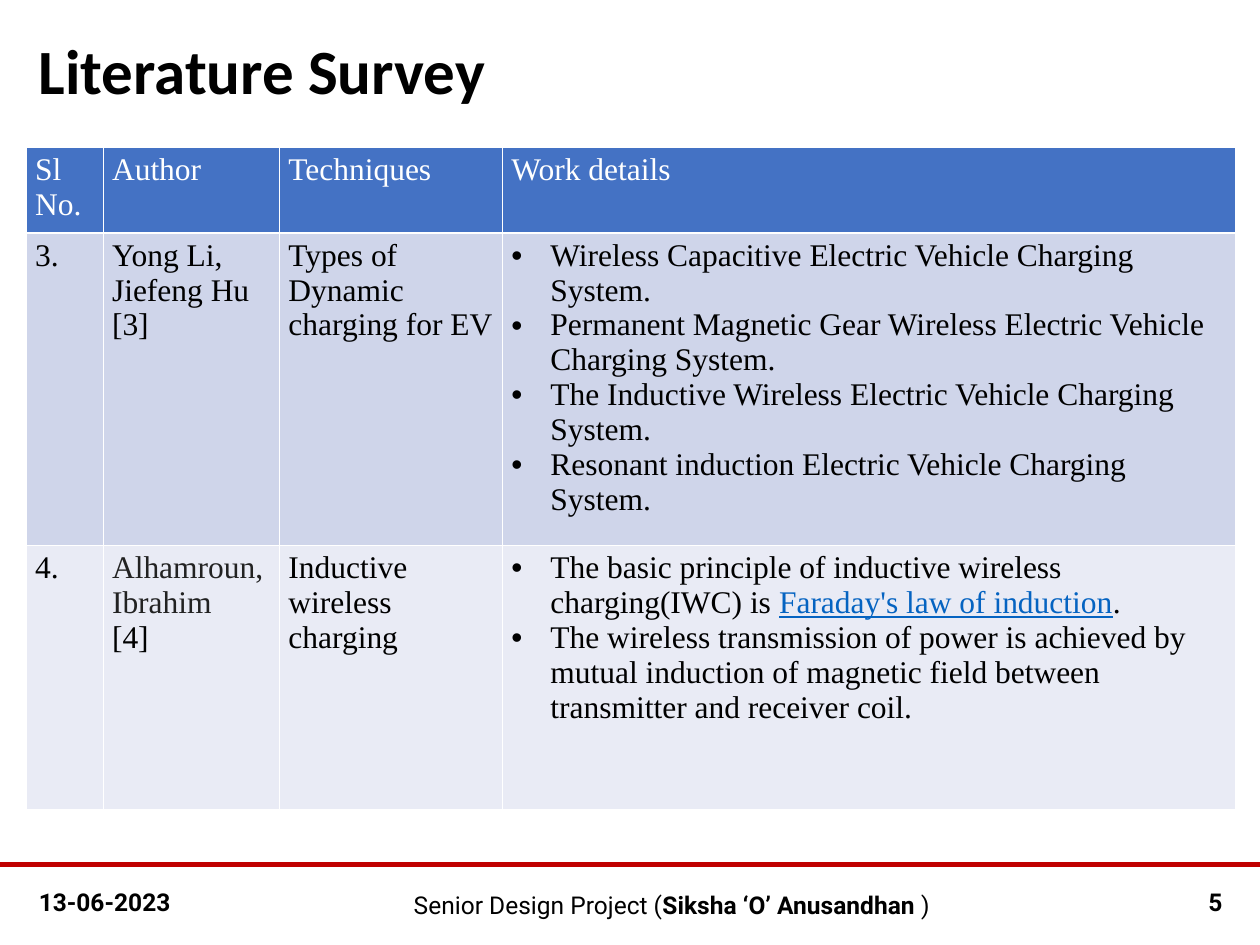
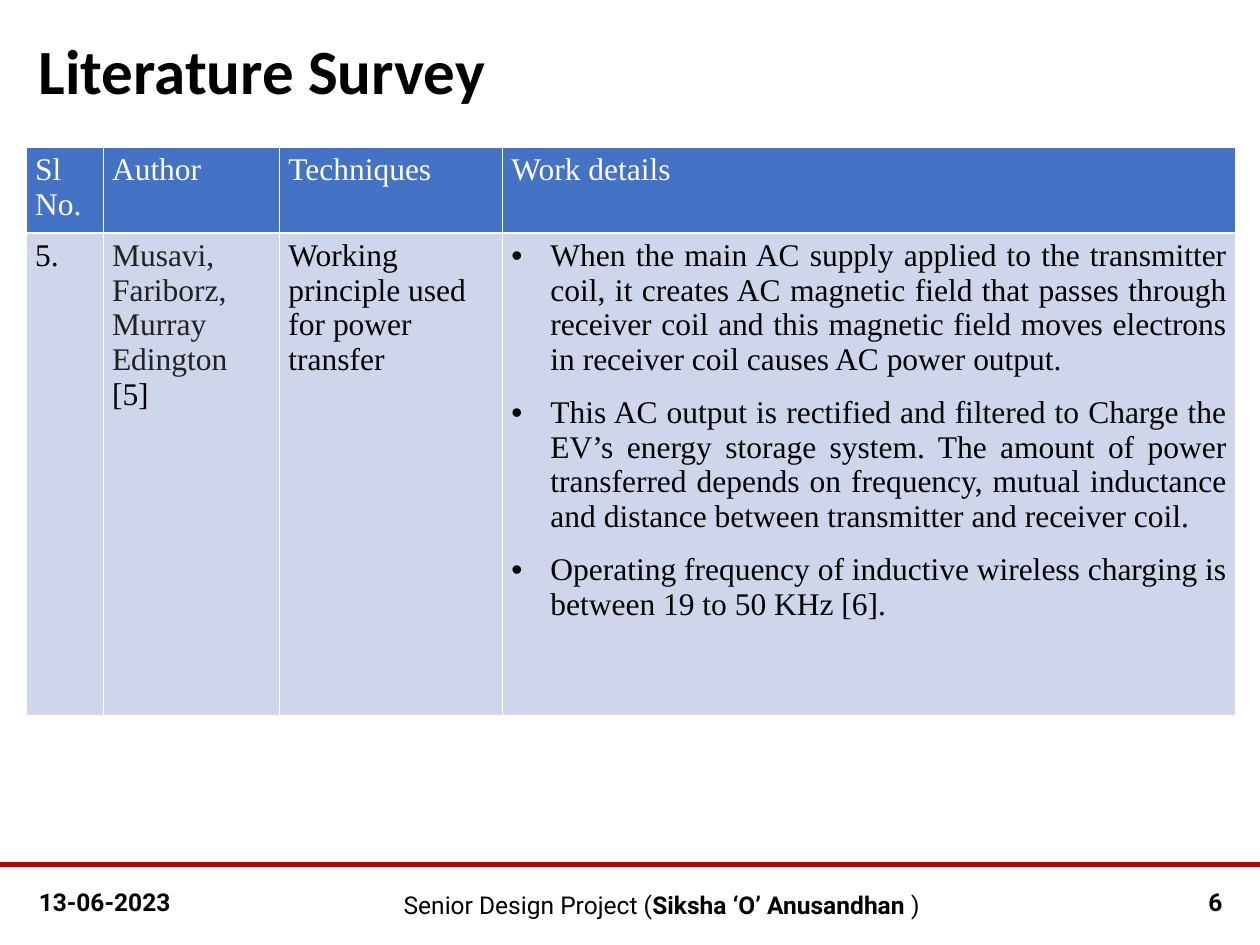
import dataclasses

import lxml.etree
import pptx
import pptx.dml.color
import pptx.enum.shapes
import pptx.enum.text
import pptx.oxml.ns
import pptx.util

Inches = pptx.util.Inches
Align = pptx.enum.text.PP_ALIGN
Anchor = pptx.enum.text.MSO_ANCHOR
qn = pptx.oxml.ns.qn


@dataclasses.dataclass(frozen=True)
class Theme:
    text: str = "000000"
    author: str = "222222"
    link: str = "0563C1"
    header_text: str = "FFFFFF"
    header_fill: str = "4472C4"
    row_fills: tuple = ("CFD5EA", "E9EBF5")
    border: str = "FFFFFF"
    rule: str = "C00000"
    title_font: str = "Calibri"
    footer_font: str = "Roboto"
    table_font: str = "Times New Roman"
    title_size: int = 36
    footer_size: int = 14
    table_size: int = 18


THEME = Theme()
MARGIN = 0.21
CONTENT_WIDTH = 9.6
TABLE_TOP = 1.17
RULE_TOP = 6.86
COLUMN_WIDTHS = (0.61, 1.4, 1.77, 5.82)
HEADINGS = ("Sl No.", "Author", "Techniques", "Work details")
BULLET_INDENT = 0.31

# Each paragraph is a string or a list of (text, format) runs
SURVEY_SLIDES = [
    {
        "number": 5, "footer_left": 1.58, "row_heights": (0.65, 2.29, 2.1),
        "rows": [
            ("3.", ["Yong Li, Jiefeng Hu", "[3]"], "Types of Dynamic charging for EV",
             ["Wireless Capacitive Electric Vehicle Charging System.",
              "Permanent Magnetic Gear Wireless Electric Vehicle Charging System.",
              "The Inductive Wireless Electric Vehicle Charging System.",
              "Resonant induction Electric Vehicle Charging System."]),
            ("4.", [[("Alhamroun,Ibrahim", {"color": THEME.author})], "[4]"],
             "Inductive wireless charging",
             [[("The basic principle of inductive wireless charging(IWC) is ", {}),
               ("Faraday's law of induction", {"color": THEME.link, "underline": True}),
               (".", {})],
              "The wireless transmission of power is achieved by mutual induction of "
              "magnetic field between transmitter and receiver coil."]),
        ],
        "details_format": {},
    },
    {
        "number": 6, "footer_left": 1.5, "row_heights": (0.63, 3.83),
        "rows": [
            ("5.", [[("Musavi, Fariborz, Murray Edington", {"color": THEME.author})], "[5]"],
             "Working principle used for power transfer",
             ["When the main AC supply applied to the transmitter coil, it creates AC "
              "magnetic field that passes through receiver coil and this magnetic field "
              "moves electrons in receiver coil causes AC power output.",
              "This AC output is rectified and filtered to Charge the EV’s energy storage "
              "system. The amount of power transferred depends on frequency, mutual "
              "inductance and distance between transmitter and receiver coil.",
              "Operating frequency of inductive wireless charging is between 19 to 50 KHz [6]."]),
        ],
        "details_format": {"align": Align.JUSTIFY, "space_before": 10},
    },
]


def add_bullet(paragraph):
    properties = paragraph._p.get_or_add_pPr()
    properties.set("marL", str(Inches(BULLET_INDENT)))
    properties.set("indent", str(-Inches(BULLET_INDENT)))
    lxml.etree.SubElement(properties, qn("a:buFont")).set("typeface", "Arial")
    lxml.etree.SubElement(properties, qn("a:buChar")).set("char", "•")


def write_text(text_frame, text, *, font, size, color=THEME.text, bold=False,
               align=Align.LEFT, bullet=False, space_before=0, line_spacing=None):
    """Fill a frame with one paragraph or a list of paragraphs."""
    paragraphs = [text] if isinstance(text, str) else text
    for index, runs in enumerate(paragraphs):
        paragraph = text_frame.add_paragraph() if index else text_frame.paragraphs[0]
        if bullet:
            add_bullet(paragraph)
        paragraph.alignment = align
        paragraph.line_spacing = line_spacing
        if index and space_before:
            paragraph.space_before = pptx.util.Pt(space_before)
        for content, changes in [(runs, {})] if isinstance(runs, str) else runs:
            run = paragraph.add_run()
            run.text = content
            run.font.name = font
            run.font.size = pptx.util.Pt(size)
            run.font.bold = changes.get("bold", bold)
            run.font.underline = changes.get("underline", False)
            run.font.color.rgb = pptx.dml.color.RGBColor.from_string(changes.get("color", color))


def add_text_box(slide, box, text, **text_format):
    shape = slide.shapes.add_textbox(*map(Inches, box))
    shape.text_frame.word_wrap = True
    shape.text_frame.vertical_anchor = Anchor.MIDDLE
    write_text(shape.text_frame, text, **text_format)


def add_title(slide, box):
    add_text_box(slide, box, "Literature Survey", font=THEME.title_font,
                 size=THEME.title_size, bold=True, line_spacing=0.9)


def add_footer(slide, box, number, project_left):
    left, top, width, height = box
    # Red rule across the slide
    rule = slide.shapes.add_connector(pptx.enum.shapes.MSO_CONNECTOR.STRAIGHT, Inches(left),
                                      Inches(top), Inches(left + width), Inches(top))
    rule.line.color.rgb = pptx.dml.color.RGBColor.from_string(THEME.rule)
    rule.line.width = pptx.util.Pt(3)
    lxml.etree.SubElement(rule._element.spPr, qn("a:effectLst"))
    # Date, project and slide number
    style = {"font": THEME.footer_font, "size": THEME.footer_size}
    add_text_box(slide, (left + MARGIN, top + 0.1, 1.3, 0.4), "13-06-2023", bold=True, **style)
    project = [("Senior Design Project (", {}), ("Siksha ‘O’ Anusandhan ", {"bold": True}),
               (") ", {})]
    add_text_box(slide, (left + project_left, top + 0.12, 7.55, 0.4), [project],
                 align=Align.CENTER, **style)
    add_text_box(slide, (left + width - 0.79, top + 0.1, 0.59, 0.4), str(number),
                 bold=True, align=Align.RIGHT, **style)


def style_cell(cell, fill):
    cell.margin_left = cell.margin_right = Inches(0.07)
    cell.margin_top = cell.margin_bottom = Inches(0.04)
    properties = cell._tc.get_or_add_tcPr()
    for side in ("lnL", "lnR", "lnT", "lnB"):
        line = lxml.etree.SubElement(properties, qn(f"a:{side}"))
        line.set("w", str(pptx.util.Pt(1)))
        solid = lxml.etree.SubElement(line, qn("a:solidFill"))
        lxml.etree.SubElement(solid, qn("a:srgbClr")).set("val", THEME.border)
    cell.fill.solid()
    cell.fill.fore_color.rgb = pptx.dml.color.RGBColor.from_string(fill)


def add_survey_table(slide, left, top, row_heights, rows, details_format):
    box = (left, top, CONTENT_WIDTH, sum(row_heights))
    table = slide.shapes.add_table(len(row_heights), len(HEADINGS), *map(Inches, box)).table
    for column, width in zip(table.columns, COLUMN_WIDTHS):
        column.width = Inches(width)
    for row, height in zip(table.rows, row_heights):
        row.height = Inches(height)
    for row_index, texts in enumerate([HEADINGS, *rows]):
        is_header = row_index == 0
        fill = THEME.header_fill if is_header else THEME.row_fills[(row_index - 1) % 2]
        for column_index, text in enumerate(texts):
            cell = table.cell(row_index, column_index)
            style_cell(cell, fill)
            is_details = not is_header and column_index == len(HEADINGS) - 1
            write_text(cell.text_frame, text, font=THEME.table_font, size=THEME.table_size,
                       color=THEME.header_text if is_header else THEME.text,
                       bullet=is_details, **(details_format if is_details else {}))


def add_survey_slide(presentation, survey):
    slide = presentation.slides.add_slide(presentation.slide_layouts[6])
    add_footer(slide, (0, RULE_TOP, 10, 0.64), survey["number"], survey["footer_left"])
    add_title(slide, (MARGIN, 0.24, CONTENT_WIDTH, 0.69))
    add_survey_table(slide, MARGIN, TABLE_TOP, survey["row_heights"], survey["rows"],
                     survey["details_format"])


def main():
    presentation = pptx.Presentation()
    presentation.slide_width = Inches(10)
    presentation.slide_height = Inches(7.5)
    for survey in SURVEY_SLIDES:
        add_survey_slide(presentation, survey)
    presentation.save("out.pptx")


if __name__ == "__main__":
    main()
